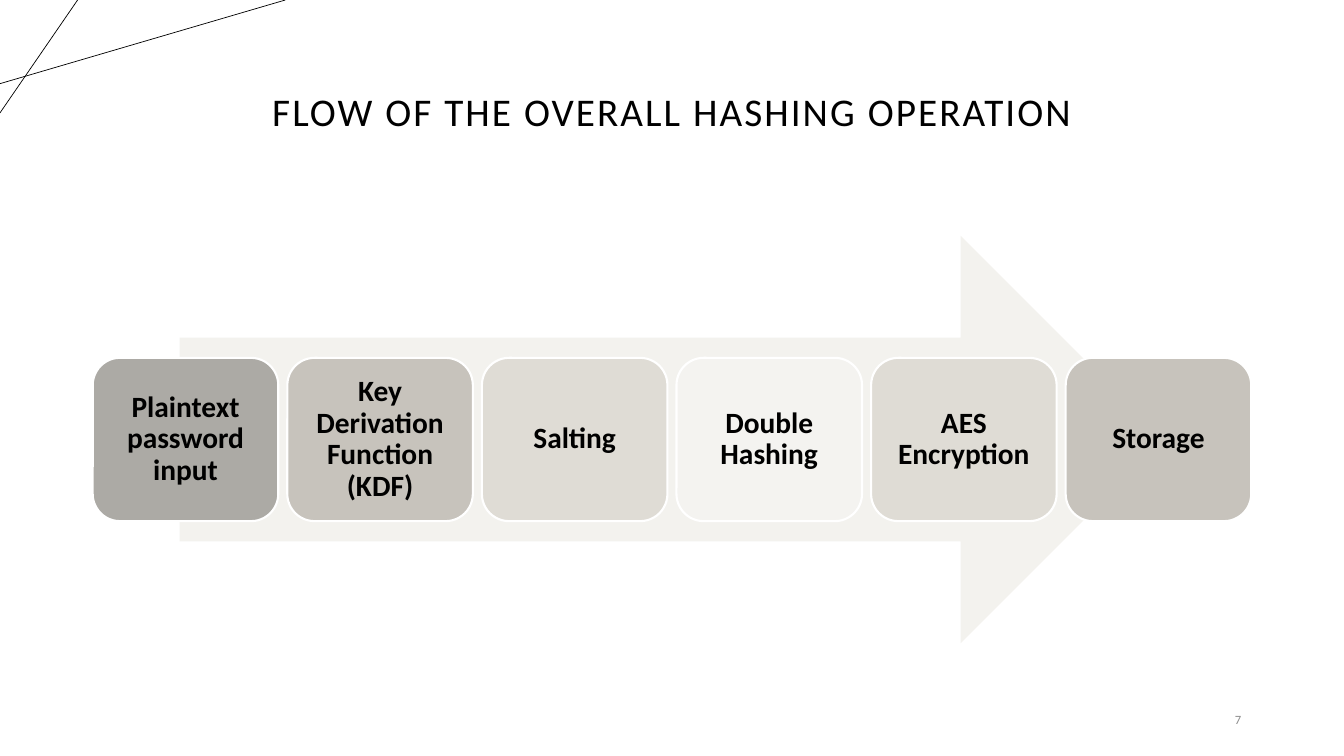
from pptx import Presentation, util as u
from pptx.dml.color import RGBColor
from pptx.enum import shapes, text
from pptx.oxml.ns import qn
from lxml import etree

BLACK = RGBColor(0, 0, 0)
WHITE = RGBColor(255, 255, 255)
GRAY = RGBColor(0x8C, 0x8C, 0x8C)
PALE = RGBColor(0xF3, 0xF2, 0xEE)
DARK = RGBColor(0xAC, 0xAA, 0xA5)
STONE = RGBColor(0xC7, 0xC3, 0xBC)
SAND = RGBColor(0xDF, 0xDC, 0xD5)
CREAM = RGBColor(0xF4, 0xF3, 0xF0)

TITLE = "FLOW OF THE OVERALL HASHING OPERATION"
PAGE = "7"
STEPS = [
    ("Plaintext password input", DARK),
    ("Key Derivation Function (KDF)", STONE),
    ("Salting", SAND),
    ("Double Hashing", CREAM),
    ("AES Encryption", SAND),
    ("Storage", STONE),
]
RULES = [((0, 0.83), (2.83, 0)), ((0.77, 0), (0, 1.12))]

WIDE, HIGH = 13.33, 7.5
EDGE = 0.92
SPAN = WIDE - 2 * EDGE
GAP = 0.09
STEP = (SPAN + GAP) / len(STEPS)
MID = 4.36
BOX = 1.62
HEAD = 4.04
SHAFT = 0.85 * SPAN


def inch(*nums):
    return [u.Inches(n) for n in nums]


def write(shape, words, size, color, align, bold=False):
    frame = shape.text_frame
    frame.word_wrap = True
    frame.auto_size = text.MSO_AUTO_SIZE.NONE
    frame.vertical_anchor = text.MSO_ANCHOR.MIDDLE
    para = frame.paragraphs[0]
    para.text = words
    para.alignment = align
    para.line_spacing = 0.9
    font = para.font
    font.name, font.size, font.bold = "Calibri", u.Pt(size), bold
    font.color.rgb = color
    return para


def block(kind, left, high, wide, fill):
    shape = slide.shapes.add_shape(kind, *inch(left, MID - high / 2, wide, high))
    shape.shadow.inherit = False
    shape.fill.solid()
    shape.fill.fore_color.rgb = fill
    return shape


deck = Presentation()
deck.slide_width, deck.slide_height = inch(WIDE, HIGH)
slide = deck.slides.add_slide(deck.slide_layouts[5])

for start, end in RULES:
    rule = slide.shapes.add_connector(shapes.MSO_CONNECTOR.STRAIGHT, *inch(*start, *end))
    rule.line.color.rgb = BLACK
    rule.line.width = u.Pt(0.5)
    etree.SubElement(rule._element.spPr, qn("a:effectLst"))

title = slide.shapes.title
title.left, title.top, title.width, title.height = inch(EDGE, 0.4, SPAN, 1.45)
head = write(title, TITLE, 28, BLACK, text.PP_ALIGN.CENTER)
head.runs[0]._r.get_or_add_rPr().set("spc", "150")

page = slide.shapes.add_textbox(*inch(WIDE - EDGE - 3, 6.95, 3, 0.4))
write(page, PAGE, 9, GRAY, text.PP_ALIGN.RIGHT)

arrow = block(shapes.MSO_SHAPE.RIGHT_ARROW, (WIDE - SHAFT) / 2, HEAD, SHAFT, PALE)
arrow.line.fill.background()

for i, (words, fill) in enumerate(STEPS):
    box = block(shapes.MSO_SHAPE.ROUNDED_RECTANGLE, EDGE + i * STEP, BOX, STEP - GAP, fill)
    box.line.color.rgb = WHITE
    box.line.width = u.Pt(1.5)
    frame = box.text_frame
    frame.margin_left = frame.margin_right = u.Inches(0.09)
    frame.margin_top = frame.margin_bottom = u.Inches(0.09)
    write(box, words, 21, BLACK, text.PP_ALIGN.CENTER, True)

deck.save("out.pptx")
